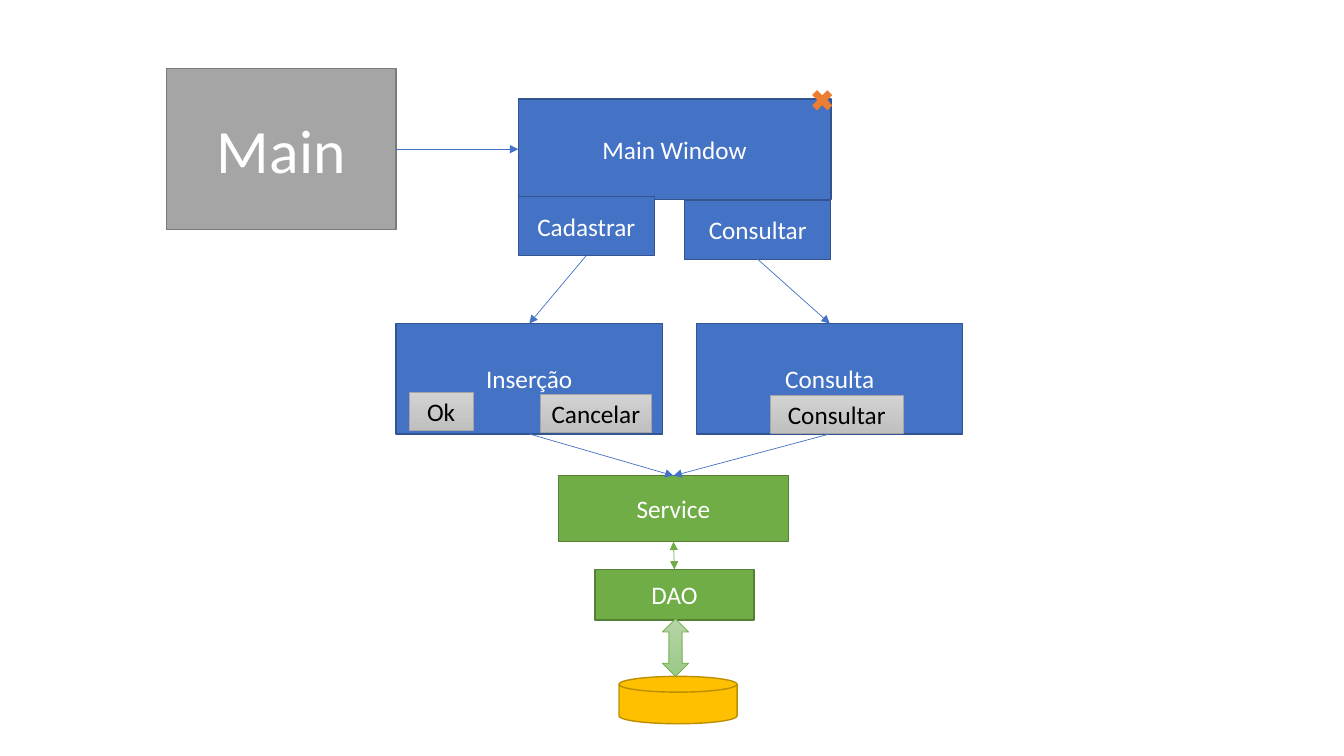
from lxml import etree
from pptx import Presentation
from pptx import util as u
from pptx.dml.color import RGBColor
from pptx.enum import shapes, text
from pptx.oxml.ns import qn

WIDE, HIGH = u.Inches(13.33), u.Inches(7.5)
KIND = shapes.MSO_SHAPE
TOP, LEFT, BASE, RIGHT = range(4)
BLUE, NAVY = "4472C4", "325491"
GREEN, MOSS = "70AD47", "538035"
GRAY, SLATE = "A5A5A5", "7A7A7A"
GOLD, BROWN = "FFC000", "BD8E00"
ORANGE, WHITE, BLACK = "ED7D31", "FFFFFF", "000000"


def rgb(code):
    return RGBColor.from_string(code)


def place(area):
    """Turn percentages of the slide into left, top, width, height."""
    return [round(part * full / 100) for part, full in zip(area, (WIDE, HIGH) * 2)]


def draw(slide, kind, area, fill, edge=None, weight=1):
    """Add a preset shape; a pair of fill colours makes a downward gradient."""
    shape = slide.shapes.add_shape(kind, *place(area))
    shape.shadow.inherit = False
    if isinstance(fill, tuple):
        shape.fill.gradient()
        shape.fill.gradient_angle = 270
        for stop, code in zip(shape.fill.gradient_stops, fill):
            stop.color.rgb = rgb(code)
    else:
        shape.fill.solid()
        shape.fill.fore_color.rgb = rgb(fill)
    if edge:
        shape.line.color.rgb = rgb(edge)
        shape.line.width = u.Pt(weight)
    else:
        shape.line.fill.background()
    return shape


def label(shape, words, size=18, color=WHITE):
    frame = shape.text_frame
    frame.word_wrap = True
    frame.vertical_anchor = text.MSO_ANCHOR.MIDDLE
    frame.text = words
    para = frame.paragraphs[0]
    para.alignment = text.PP_ALIGN.CENTER
    font = para.runs[0].font
    font.name, font.size = "Calibri", u.Pt(size)
    font.color.rgb = rgb(color)


def box(slide, words, area, fill=BLUE, edge=NAVY, size=18):
    shape = draw(slide, KIND.RECTANGLE, area, fill, edge)
    label(shape, words, size)
    return shape


def button(slide, words, left, top, width):
    area = (left, top, width, 5.07)
    shape = draw(slide, KIND.RECTANGLE, area, ("D2D2D2", "C0C0C0"), GRAY, 0.5)
    label(shape, words, color=BLACK)


def link(slide, start, out, end, into=TOP, color=BLUE, ends=("tailEnd",)):
    """Join two box sides with an arrow."""
    line = slide.shapes.add_connector(shapes.MSO_CONNECTOR.STRAIGHT, 0, 0, 0, 0)
    line.begin_connect(start, out)
    line.end_connect(end, into)
    line.line.color.rgb = rgb(color)
    line.line.width = u.Pt(0.5)
    for tip in ends:
        etree.SubElement(line.line._get_or_add_ln(), qn("a:" + tip), type="triangle")
    etree.SubElement(line._element.spPr, qn("a:effectLst"))


def main():
    deck = Presentation()
    deck.slide_width, deck.slide_height = WIDE, HIGH
    slide = deck.slides.add_slide(deck.slide_layouts[6])

    start = box(slide, "Main", (12.38, 9.07, 17.1, 21.33), GRAY, SLATE, 44)
    window = box(slide, "Main Window", (38.56, 13.07, 23.26, 13.33))
    add = box(slide, "Cadastrar", (38.56, 26, 10.13, 7.8))
    find = box(slide, "Consultar", (50.94, 26.5, 10.88, 7.8))
    insert, query = [
        box(slide, words, (left, 42.8, 19.8, 14.6))
        for words, left in (("Inserção", 29.48), ("Consulta", 51.84))
    ]
    service = box(slide, "Service", (41.56, 62.93, 17.1, 8.73), GREEN, MOSS)
    dao = box(slide, "DAO", (44.26, 75.33, 11.85, 6.67), GREEN, MOSS)
    draw(slide, KIND.FLOWCHART_MAGNETIC_DISK, (46.06, 89.47, 8.78, 6.27), GOLD, BROWN)

    link(slide, start, RIGHT, window, LEFT)
    for upper, lower in ((add, insert), (find, query),
                         (insert, service), (query, service)):
        link(slide, upper, BASE, lower)
    link(slide, service, BASE, dao, color=GREEN, ends=("headEnd", "tailEnd"))

    draw(slide, KIND.UP_DOWN_ARROW, (49.29, 81.87, 1.95, 7.6),
         ("B5D5A7", "9CC987"), GREEN, 0.5)
    draw(slide, KIND.MATH_MULTIPLY, (60.09, 11.33, 2.18, 3.87), ORANGE)
    button(slide, "Ok", 30.46, 51.87, 4.73)
    button(slide, "Cancelar", 40.21, 52.13, 8.25)
    button(slide, "Consultar", 57.31, 52.27, 9.9)

    deck.save("out.pptx")


if __name__ == "__main__":
    main()
